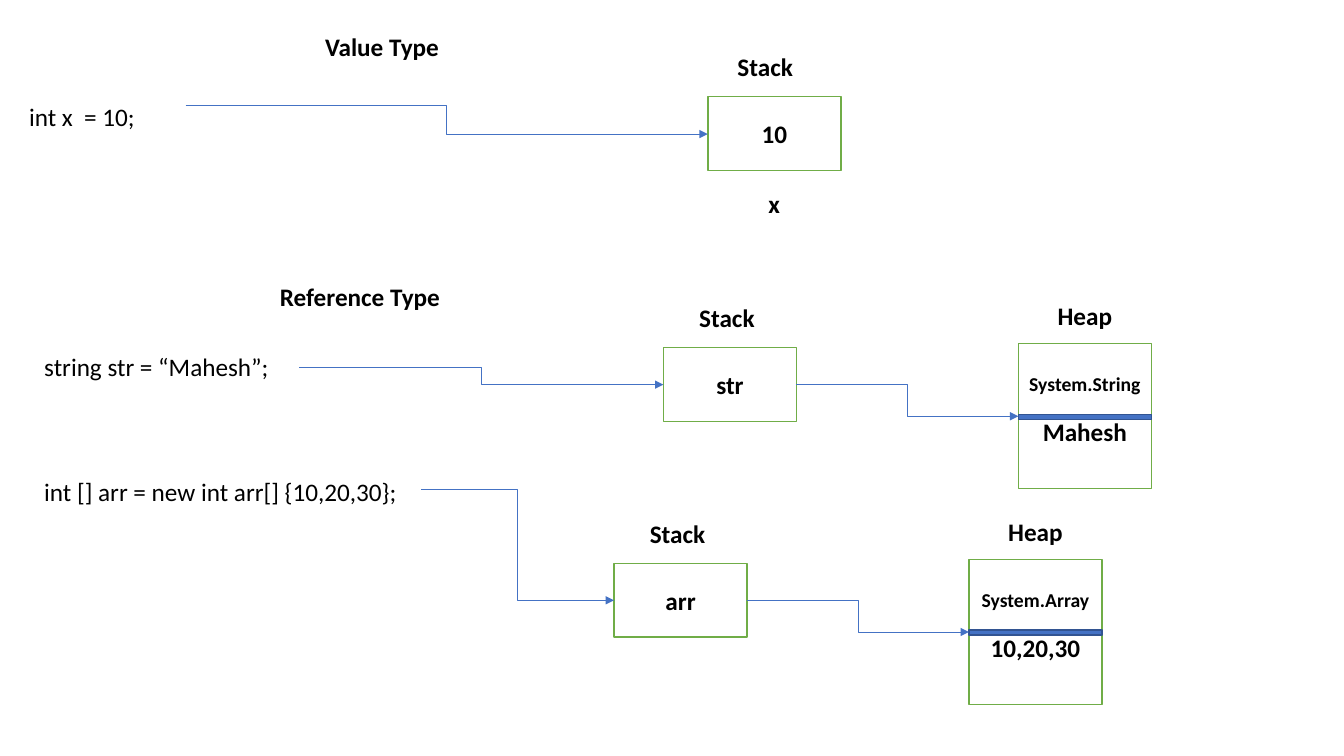
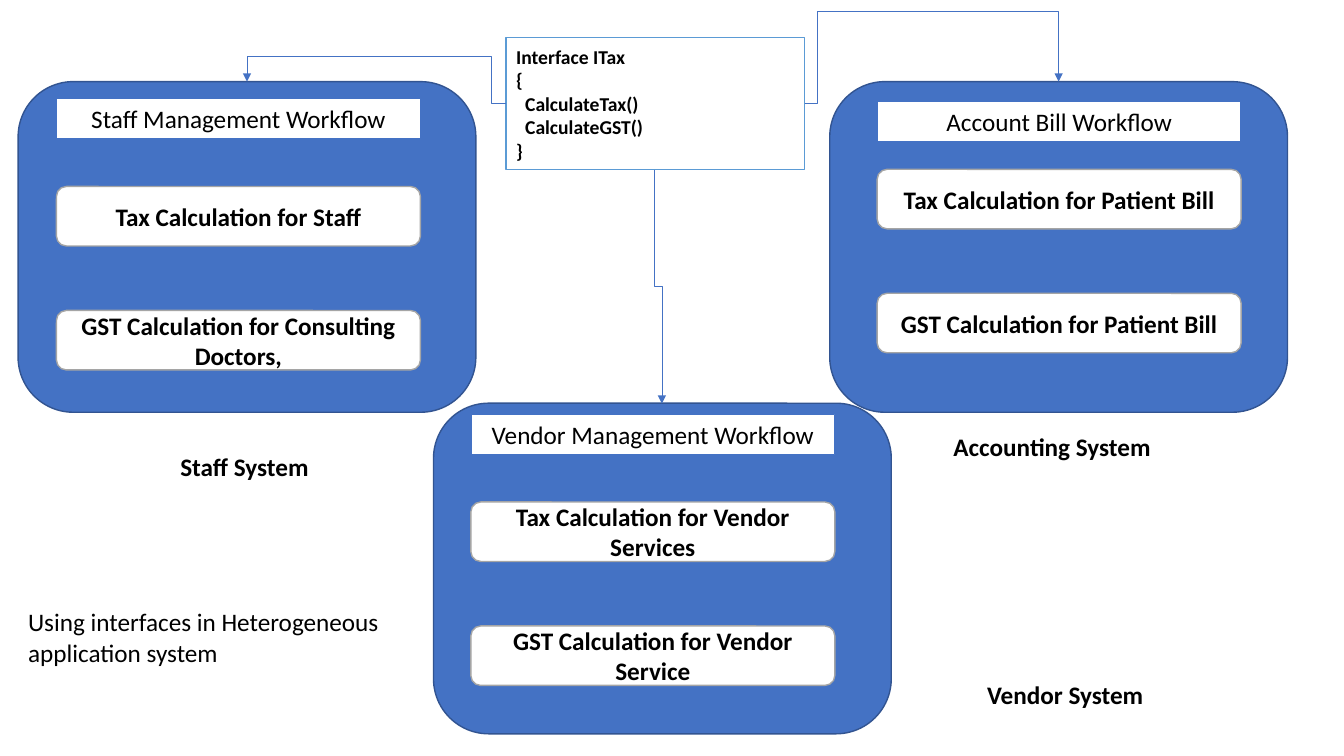
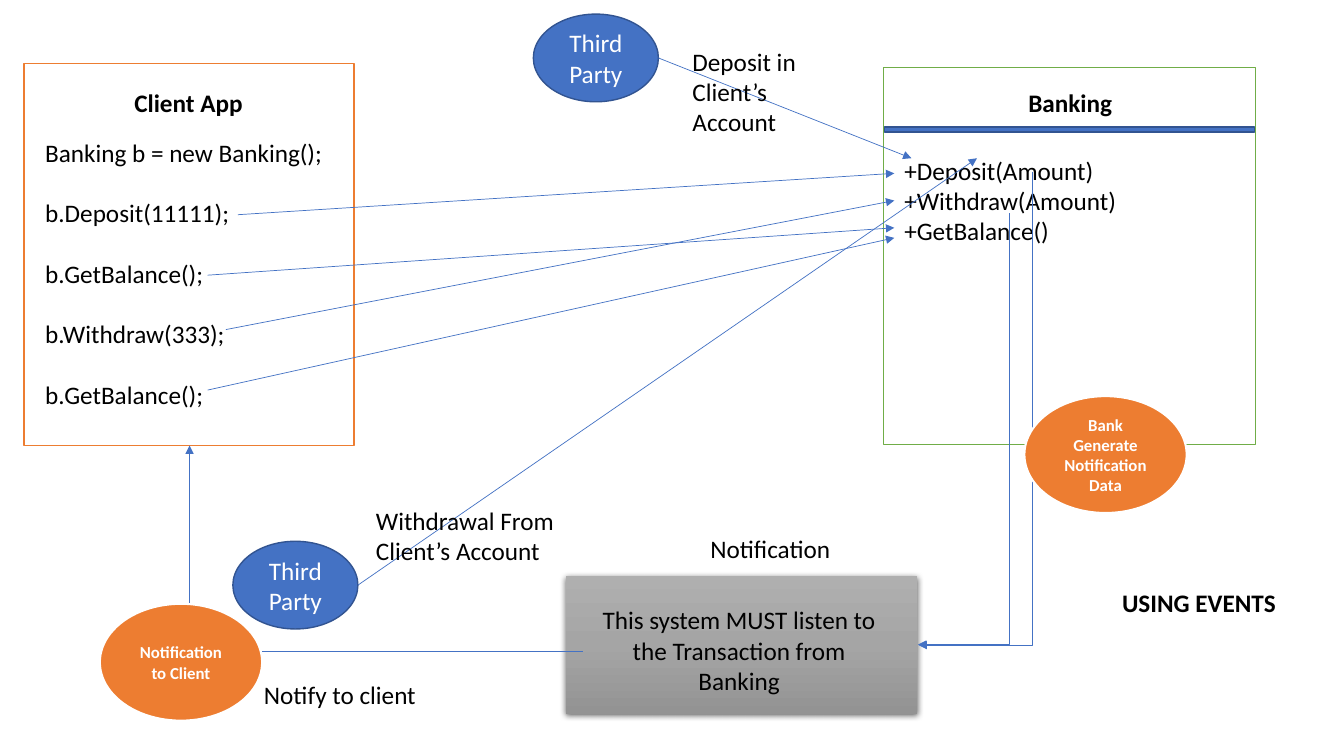
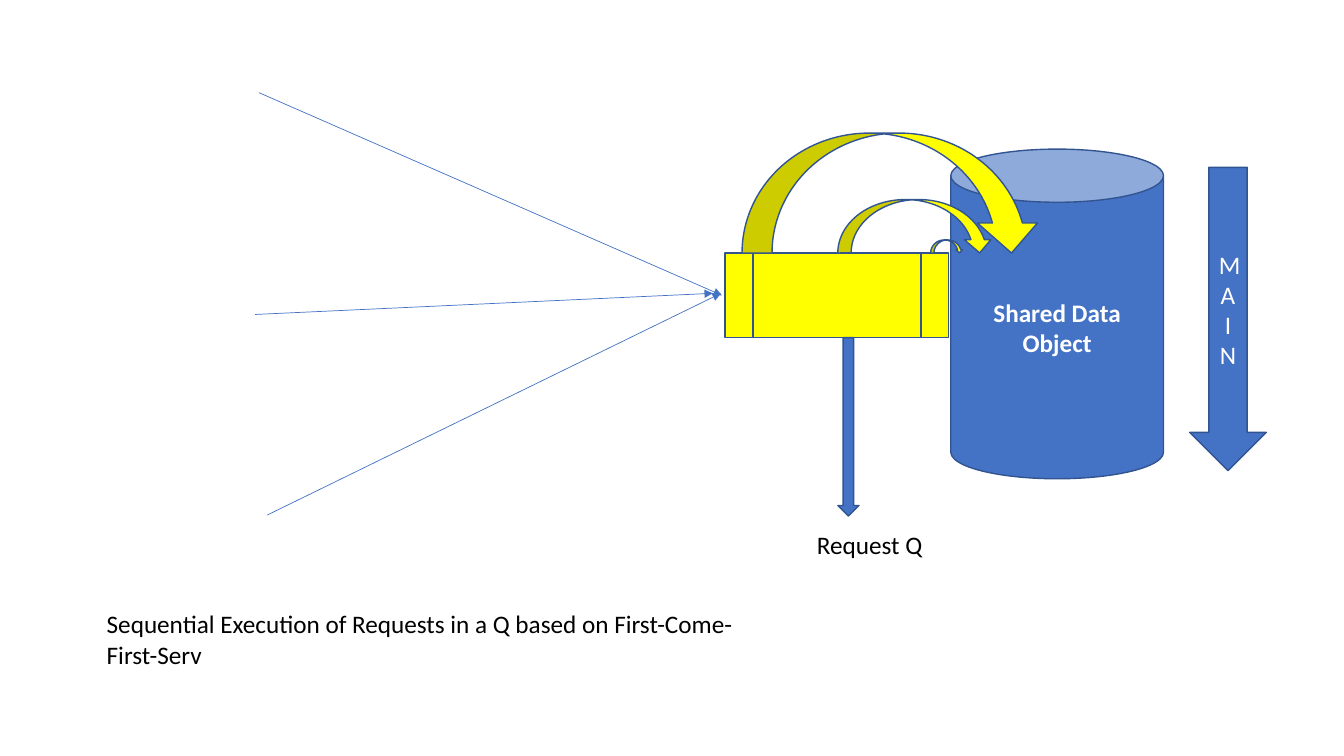
"""Build four diagram slides on types, interfaces, events and queues."""
from copy import deepcopy

from lxml import etree
from pptx import Presentation
from pptx.dml.color import RGBColor
from pptx.enum.shapes import MSO_CONNECTOR, MSO_SHAPE
from pptx.enum.text import MSO_ANCHOR, PP_ALIGN
from pptx.oxml.ns import qn
from pptx.util import Inches, Pt

RECTANGLE = MSO_SHAPE.RECTANGLE
ROUNDED = MSO_SHAPE.ROUNDED_RECTANGLE
OVAL = MSO_SHAPE.OVAL
CAN = MSO_SHAPE.CAN
DOWN_ARROW = MSO_SHAPE.DOWN_ARROW
CURVED_ARROW = MSO_SHAPE.CURVED_DOWN_ARROW
PREDEFINED_PROCESS = MSO_SHAPE.FLOWCHART_PREDEFINED_PROCESS
STRAIGHT = MSO_CONNECTOR.STRAIGHT
ELBOW = MSO_CONNECTOR.ELBOW
LEFT = PP_ALIGN.LEFT
CENTER = PP_ALIGN.CENTER
TOP = MSO_ANCHOR.TOP
MIDDLE = MSO_ANCHOR.MIDDLE

FONT = "Calibri"
BLACK = "000000"
WHITE = "FFFFFF"
BLUE = "4472C4"
DARK_BLUE = "325491"
LIGHT_BLUE = "5B9BD5"
GREEN = "70AD47"
ORANGE = "ED7D31"
GRAY = "A5A5A5"
YELLOW = "FFFF00"

CELL_WIDTH, CELL_HEIGHT = 1.32, 0.73
HEAP_HEIGHT = 1.44
SYSTEM_WIDTH, SYSTEM_HEIGHT = 4.54, 3.28
TASK_WIDTH, TASK_HEIGHT, TASK_PITCH = 3.61, 0.59, 1.23
LABEL_HEIGHT = 0.4


def color(value):
    """Turn a hex string into a colour."""
    return RGBColor.from_string(value)


def write(shape, lines, size=18, ink=BLACK, bold=False, align=LEFT,
          anchor=TOP, gap=0):
    """Fill a shape's text frame, one paragraph per line."""
    frame = shape.text_frame
    frame.word_wrap = True
    frame.vertical_anchor = anchor
    frame.text = lines
    for paragraph in frame.paragraphs:
        paragraph.alignment = align
        paragraph.space_after = Pt(gap)
        font = paragraph.font
        font.name, font.size, font.bold = FONT, Pt(size), bold
        font.color.rgb = color(ink)


def add_text(slide, box, lines, **style):
    """Place a text box."""
    text_box = slide.shapes.add_textbox(*map(Inches, box))
    write(text_box, lines, **style)
    return text_box


def add_label(slide, box, words, **style):
    """Place a centred bold label."""
    add_text(slide, box, words, bold=True, align=CENTER, **style)


def add_box(slide, kind, box, fill=BLUE, line=DARK_BLUE, width=1, lines="",
            align=CENTER, **style):
    """Place a filled, outlined shape with optional text."""
    shape = slide.shapes.add_shape(kind, *map(Inches, box))
    shape.shadow.inherit = False
    shape.fill.solid()
    shape.fill.fore_color.rgb = color(fill)
    shape.line.color.rgb = color(line)
    shape.line.width = Pt(width)
    if lines:
        write(shape, lines, align=align, anchor=MIDDLE, **style)
    return shape


def add_arrow(slide, start, end, kind=STRAIGHT):
    """Draw a thin connector with an arrowhead at its end."""
    connector = slide.shapes.add_connector(kind, *map(Inches, start + end))
    connector.line.color.rgb = color(BLUE)
    connector.line.width = Pt(0.5)
    properties = connector._element.spPr
    etree.SubElement(properties.find(qn("a:ln")), qn("a:tailEnd"),
                     type="triangle")
    etree.SubElement(properties, qn("a:effectLst"))
    return connector


def add_bent_arrow(slide, box, preset, rotation=0, flip=None, bends=()):
    """Draw a turned elbow arrow; box is its frame before rotation."""
    left, top, width, height = box
    connector = add_arrow(slide, (left, top), (left + width, top + height),
                          ELBOW)
    properties = connector._element.spPr
    transform = properties.find(qn("a:xfrm"))
    transform.set("rot", str(rotation * 60000))
    if flip:
        transform.set(flip, "1")
    geometry = properties.find(qn("a:prstGeom"))
    geometry.set("prst", preset)
    guides = geometry.find(qn("a:avLst"))
    for number, bend in enumerate(bends, 1):
        etree.SubElement(guides, qn("a:gd"), name=f"adj{number}",
                         fmla=f"val {round(bend * 100000)}")


def add_divider(slide, left, top, width):
    """Draw the thin bar that splits a box into two parts."""
    add_box(slide, RECTANGLE, (left, top, width, 0.05))


def stack_cell(slide, left, top, value, label_shift=0.1):
    """Draw a stack cell with its heading above."""
    add_box(slide, RECTANGLE, (left, top, CELL_WIDTH, CELL_HEIGHT), WHITE,
            GREEN, lines=value, bold=True)
    add_label(slide, (left + label_shift, top - 0.5, 1.06, LABEL_HEIGHT),
              "Stack")


def heap_cell(slide, left, top, type_name, value):
    """Draw a heap cell: type above the divider, value below."""
    cell = add_box(slide, RECTANGLE, (left, top, CELL_WIDTH, HEAP_HEIGHT),
                   WHITE, GREEN, lines=value, bold=True)
    cell.text_frame.margin_top = Inches(0.35)
    add_label(slide, (left + 0.13, top - 0.48, 1.06, LABEL_HEIGHT), "Heap")
    add_label(slide, (left, top + 0.23, CELL_WIDTH, 0.34), type_name, size=14)
    add_divider(slide, left, top + 0.7, CELL_WIDTH)


def reference_pair(slide, left, top, name, type_name, value, source):
    """Draw a stack cell that points to a heap cell."""
    heap_left, entry = left + 3.52, top + CELL_HEIGHT / 2
    stack_cell(slide, left, top, name)
    heap_cell(slide, heap_left, top - 0.04, type_name, value)
    add_arrow(slide, (left + CELL_WIDTH, entry), (heap_left, top + 0.68),
              ELBOW)
    add_arrow(slide, source, (left, entry), ELBOW)


def build_types(slide):
    """Compare value types with reference types."""
    add_label(slide, (0.34, 0.26, 6.9, LABEL_HEIGHT), "Value Type")
    add_text(slide, (0.19, 0.96, 3.01, LABEL_HEIGHT), "int x  = 10;")
    stack_cell(slide, 7.02, 0.96, "10", label_shift=0.04)
    add_label(slide, (7.35, 1.82, 0.66, LABEL_HEIGHT), "x")
    add_arrow(slide, (1.84, 1.05), (7.02, 1.33), ELBOW)

    add_label(slide, (0.12, 2.74, 6.9, LABEL_HEIGHT), "Reference Type")
    add_text(slide, (0.34, 3.44, 3.61, LABEL_HEIGHT),
             "string str = “Mahesh”;")
    reference_pair(slide, 6.58, 3.45, "str", "System.String", "Mahesh",
                   (2.97, 3.64))
    add_text(slide, (0.34, 4.68, 6.24, LABEL_HEIGHT),
             "int [] arr = new int arr[] {10,20,30};")
    reference_pair(slide, 6.09, 5.59, "arr", "System.Array", "10,20,30",
                   (4.18, 4.85))


def workflow_system(slide, left, top, inset, heading_drop, task_drop, heading,
                    tasks):
    """Draw a system panel with a heading and its tasks."""
    add_box(slide, ROUNDED, (left, top, SYSTEM_WIDTH, SYSTEM_HEIGHT))
    column = left + inset
    for row, task in enumerate(tasks):
        task_top = top + task_drop + row * TASK_PITCH
        add_box(slide, ROUNDED, (column, task_top, TASK_WIDTH, TASK_HEIGHT),
                WHITE, GRAY, lines=task, bold=True)
    add_box(slide, RECTANGLE,
            (column, top + heading_drop, TASK_WIDTH, LABEL_HEIGHT),
            WHITE, BLUE, lines=heading)


def build_interfaces(slide):
    """Show one interface shared by three systems."""
    workflow_system(slide, 8.23, 0.81, 0.47, 0.2, 0.87,
                    "Account Bill Workflow",
                    ("Tax Calculation for Patient Bill",
                     "GST Calculation for Patient Bill"))
    workflow_system(slide, 0.18, 0.81, 0.38, 0.17, 1.04,
                    "Staff Management Workflow",
                    ("Tax Calculation for Staff",
                     "GST Calculation for Consulting Doctors,"))
    workflow_system(slide, 4.3, 4, 0.37, 0.11, 0.98,
                    "Vendor Management Workflow",
                    ("Tax Calculation for Vendor Services",
                     "GST Calculation for Vendor Service"))
    for left, top, name in ((0.56, 4.43, "Staff System"),
                            (8.57, 4.23, "Accounting System"),
                            (8.7, 6.69, "Vendor System")):
        add_label(slide, (left, top, 3.73, LABEL_HEIGHT), name)

    interface = add_box(
        slide, RECTANGLE, (5.02, 0.37, 2.96, 1.31), WHITE, LIGHT_BLUE,
        lines="Interface ITax\n{\nCalculateTax()\nCalculateGST()\n}",
        align=LEFT, size=14, bold=True)
    for method in interface.text_frame.paragraphs[2:4]:
        method._p.get_or_add_pPr().set("marL", str(Inches(0.09)))

    add_bent_arrow(slide, (2.45, 0.81, 2.57, 0.22), "bentConnector4", 180,
                   bends=(0.058, 2.148))
    add_bent_arrow(slide, (7.98, 0.81, 2.52, 0.22), "bentConnector4",
                   flip="flipV", bends=(0.05, 4.164))
    add_bent_arrow(slide, (5.37, 2.81, 2.32, 0.07), "bentConnector3", 270,
                   "flipH")
    add_text(slide, (0.18, 5.97, 3.69, 0.71),
             "Using interfaces in Heterogeneous application system")


def banking_class(slide, left, top):
    """Draw the class box with its methods."""
    add_box(slide, RECTANGLE, (left, top, 3.69, 3.74), WHITE, GREEN)
    add_divider(slide, left + 0.01, top + 0.59, 3.67)
    add_label(slide, (left + 0.11, top + 0.15, 3.49, LABEL_HEIGHT), "Banking")
    add_text(slide, (left + 0.11, top + 0.82, 3.41, 1.01),
             "+Deposit(Amount)\n+Withdraw(Amount)\n+GetBalance()")


def client_app(slide, left, top):
    """Draw the client box with its calls."""
    add_box(slide, RECTANGLE, (left, top, 3.27, 3.79), WHITE, ORANGE)
    add_label(slide, (left + 0.11, top + 0.19, 3.04, LABEL_HEIGHT),
              "Client App")
    add_text(slide, (left + 0.11, top + 0.68, 3.04, 2.83),
             "Banking b = new Banking();\nb.Deposit(11111);\n"
             "b.GetBalance();\nb.Withdraw(333);\nb.GetBalance();", gap=21.6)


def third_party(slide, left, top, target):
    """Draw a third party whose arrow leads to a method."""
    width, height = 1.24, 0.87
    add_box(slide, OVAL, (left, top, width, height), lines="Third Party",
            ink=WHITE)
    add_arrow(slide, (left + width, top + height / 2), target)


def listener_panel(slide, box):
    """Draw the shaded panel of the listening system."""
    panel = add_box(slide, RECTANGLE, box)
    panel.line.fill.background()
    panel.fill.gradient()
    panel.fill.gradient_angle = 270
    properties = panel._element.spPr
    stops = properties.find(qn("a:gradFill")).find(qn("a:gsLst"))
    stops.insert(1, deepcopy(stops[0]))
    shades = ((0, "AFAFAF"), (0.5, GRAY), (1, "939393"))
    for stop, (position, shade) in zip(panel.fill.gradient_stops, shades):
        stop.position = position
        stop.color.rgb = color(shade)
    shadow = etree.SubElement(
        properties.find(qn("a:effectLst")), qn("a:outerShdw"),
        blurRad=str(Pt(4.5)), dist=str(Pt(1.5)), dir="5400000",
        algn="ctr", rotWithShape="0")
    shadow_color = etree.SubElement(shadow, qn("a:srgbClr"), val=BLACK)
    etree.SubElement(shadow_color, qn("a:alpha"), val="63000")


def build_events(slide):
    """Show how bank transactions raise notifications."""
    banking_class(slide, 8.76, 0.67)
    client_app(slide, 0.24, 0.63)
    for start, method_height in (((2.36, 2.13), 1.72), ((2.06, 2.73), 2.26),
                                 ((2.24, 3.27), 1.99), ((2.06, 3.87), 2.36)):
        add_arrow(slide, start, (8.87, method_height))
    third_party(slide, 5.29, 0.14, (9.04, 1.57))
    third_party(slide, 2.31, 5.37, (9.69, 1.57))
    add_text(slide, (6.77, 0.41, 1.36, 1.01), "Deposit in Client’s Account")
    add_text(slide, (3.63, 4.96, 2.11, 0.71),
             "Withdrawal From Client’s Account")

    listener_panel(slide, (5.61, 5.71, 3.49, 1.37))
    add_text(slide, (6.59, 5.24, 2.1, LABEL_HEIGHT), "Notification",
             align=CENTER)
    for box, rotation in (((7.33, 3.49, 4.69, 1.13), 90),
                          ((7.42, 3.8, 4.28, 0.91), 90),
                          ((1.88, 4.42, 3.9, 2.04), 180)):
        add_bent_arrow(slide, box, "bentConnector2", rotation)
    add_text(slide, (5.78, 5.95, 3.1, 1.01),
             "This system MUST listen to the Transaction from Banking",
             align=CENTER)
    add_text(slide, (2.52, 6.69, 2.94, LABEL_HEIGHT), "Notify to client")
    for left, top, words in ((10.16, 3.93, "Bank Generate Notification Data"),
                             (0.99, 5.99, "Notification to Client")):
        add_box(slide, OVAL, (left, top, 1.61, 1.16), ORANGE, WHITE, 1.5,
                words, size=12, ink=WHITE, bold=True)
    add_text(slide, (11.03, 5.78, 1.99, LABEL_HEIGHT), "USING EVENTS",
             bold=True)


def request_queue(slide, left, top):
    """Draw the queue, its label and the arrows that leave it."""
    add_box(slide, PREDEFINED_PROCESS, (left, top, 2.22, 0.84), YELLOW)
    add_box(slide, DOWN_ARROW, (left + 1.12, top + 0.84, 0.21, 1.77))
    add_text(slide, (left + 0.21, top + 2.69, 2.45, LABEL_HEIGHT),
             "Request Q", align=CENTER)
    for shift, width, height in ((2.04, 0.32, 0.13), (1.12, 1.54, 0.53),
                                 (0.17, 2.97, 1.19)):
        add_box(slide, CURVED_ARROW,
                (left + shift, top - height, width, height), YELLOW)


def build_queue(slide):
    """Show requests that reach shared data through a queue."""
    add_box(slide, CAN, (9.43, 1.48, 2.11, 3.27), lines="Shared Data Object",
            ink=WHITE, bold=True)
    for start, end in (((2.57, 0.92), (7.16, 2.93)),
                       ((2.53, 3.12), (7.07, 2.91)),
                       ((2.65, 5.11), (7.15, 2.91))):
        add_arrow(slide, start, end)
    add_box(slide, DOWN_ARROW, (11.8, 1.66, 0.76, 3.01), lines="M\nA\nI\nN",
            ink=WHITE)
    request_queue(slide, 7.19, 2.51)
    add_text(slide, (0.96, 5.99, 6.79, 0.71),
             "Sequential Execution of Requests in a Q based on "
             "First-Come-First-Serv")


def main():
    """Build and save the presentation."""
    presentation = Presentation()
    presentation.slide_width = Inches(13.33)
    presentation.slide_height = Inches(7.5)
    blank_layout = presentation.slide_layouts.get_by_name("Blank")
    for build in (build_types, build_interfaces, build_events, build_queue):
        build(presentation.slides.add_slide(blank_layout))
    presentation.save("out.pptx")


main()
